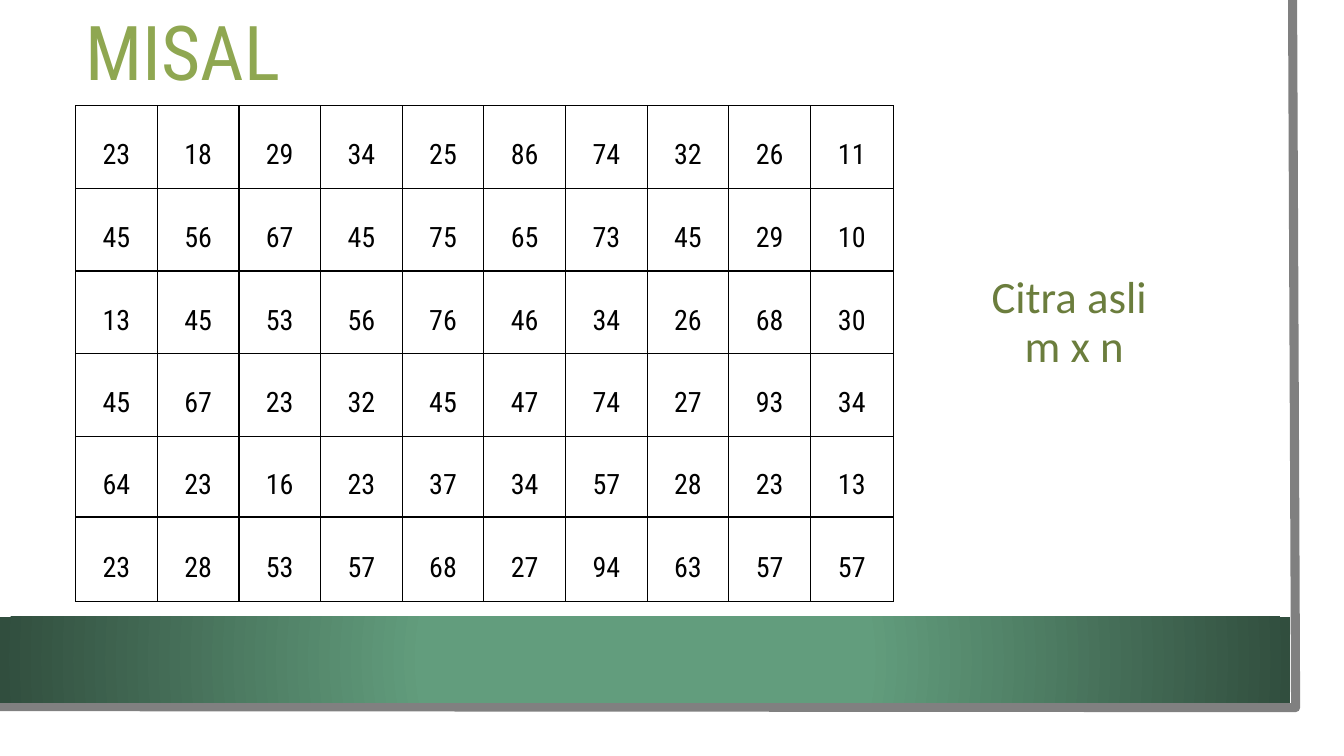
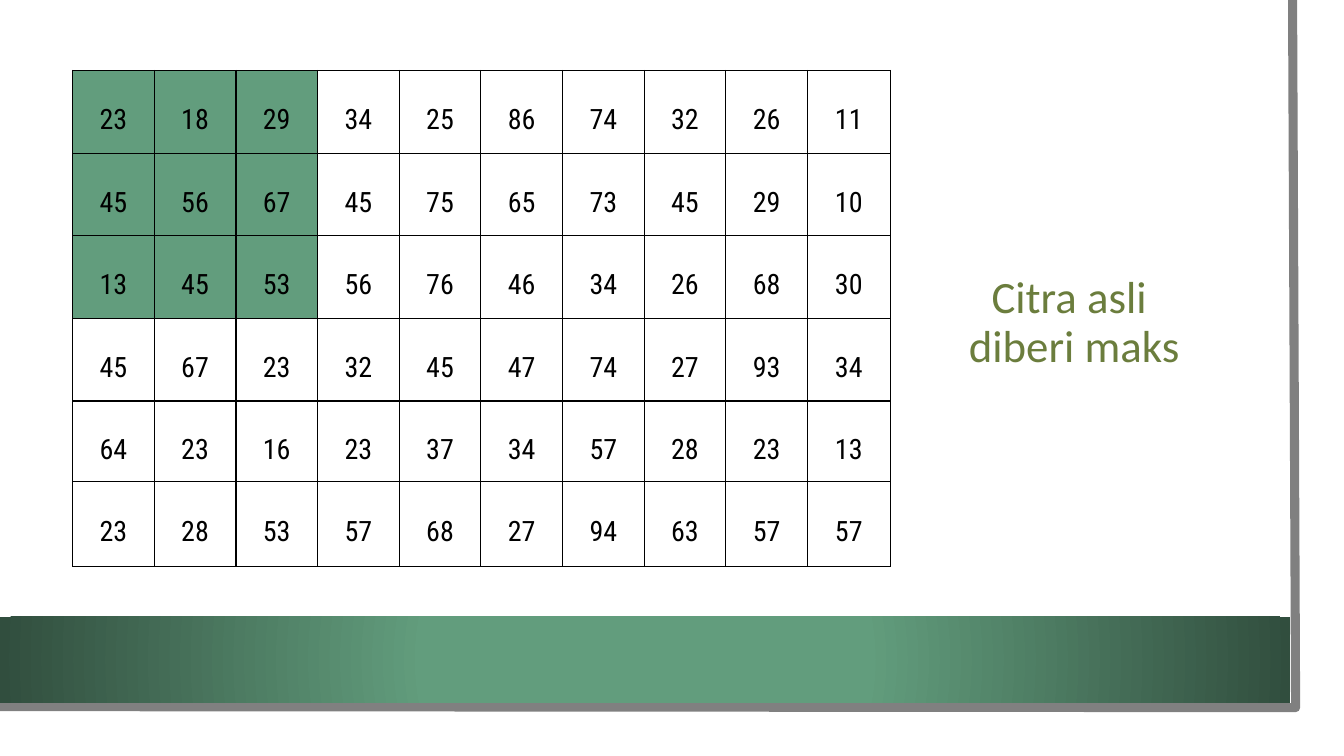
"""Two slides with a grid of grey values and its caption, on a green-banded frame."""
from lxml import etree
from pptx import Presentation
from pptx.dml.color import RGBColor
from pptx.enum import shapes, text
from pptx.oxml import ns
from pptx.util import Inches, Pt

GREEN, DARK, LIME, OLIVE = "629D7D", "314E3E", "8FA751", "6B7D3D"
GREY, WHITE, BLACK = "808080", "FFFFFF", "000000"
HEAD, BODY = "Roboto Condensed", "Calibri"
WIDE, HIGH = [0.81] * 9 + [0.82], [0.82] * 4 + [0.8, 0.84]
GRID = [
    [23, 18, 29, 34, 25, 86, 74, 32, 26, 11],
    [45, 56, 67, 45, 75, 65, 73, 45, 29, 10],
    [13, 45, 53, 56, 76, 46, 34, 26, 68, 30],
    [45, 67, 23, 32, 45, 47, 74, 27, 93, 34],
    [64, 23, 16, 23, 37, 34, 57, 28, 23, 13],
    [23, 28, 53, 57, 68, 27, 94, 63, 57, 57],
]
PAGES = [
    ("MISAL", 0.75, 1.05, 0, "Citra asli \nm x n"),
    (None, 0.72, 0.7, 3, "Citra asli \ndiberi maks"),
]


def rgb(code):
    return RGBColor.from_string(code)


def style(par, size, face, code, align, lead):
    par.font.size, par.font.name = Pt(size), face
    par.font.color.rgb = rgb(code)
    par.alignment, par.line_spacing = align, lead


deck = Presentation()
deck.slide_width, deck.slide_height = Inches(13.33), Inches(7.5)
mid, left = text.PP_ALIGN.CENTER, text.PP_ALIGN.LEFT

for title, x, y, mark, note in PAGES:
    page = deck.slides.add_slide(deck.slide_layouts[5 if title else 6])

    if title:
        head = page.shapes.title
        head.left, head.top = Inches(0.75), Inches(-0.07)
        head.width, head.height = Inches(11.37), Inches(1.26)
        head.text_frame.text = title
        head.text_frame.vertical_anchor = text.MSO_ANCHOR.MIDDLE
        style(head.text_frame.paragraphs[0], 54, HEAD, LIME, left, 0.9)

    frame = page.shapes.add_table(len(HIGH), len(WIDE), Inches(x), Inches(y),
                                  Inches(sum(WIDE)), Inches(sum(HIGH)))
    table = frame.table
    table.first_row = table.horz_banding = False
    for col, size in zip(table.columns, WIDE):
        col.width = Inches(size)
    for row, size in zip(table.rows, HIGH):
        row.height = Inches(size)
    for r, line in enumerate(GRID):
        for c, value in enumerate(line):
            cell = table.cell(r, c)
            cell.text = str(value)
            cell.vertical_anchor = text.MSO_ANCHOR.MIDDLE
            cell.margin_left = cell.margin_right = Inches(0.07)
            cell.margin_top = cell.margin_bottom = 0
            par = cell.text_frame.paragraphs[0]
            style(par, 20, HEAD, BLACK, mid, 1.5)
            par.space_after = Pt(10)
            if r < mark and c < mark:
                cell.fill.solid()
                cell.fill.fore_color.rgb = rgb(GREEN)
            else:
                cell.fill.background()
            props = cell._tc.get_or_add_tcPr()
            for i, side in enumerate("LRTB"):
                edge = etree.Element(ns.qn("a:ln" + side), w=str(Pt(1)))
                paint = etree.SubElement(edge, ns.qn("a:solidFill"))
                etree.SubElement(paint, ns.qn("a:srgbClr"), val=BLACK)
                props.insert(i, edge)

    box = page.shapes.add_textbox(Inches(4.97), Inches(2.58), Inches(11.37), Inches(1.26))
    box.text_frame.word_wrap = True
    box.text_frame.vertical_anchor = text.MSO_ANCHOR.MIDDLE
    box.text_frame.text = note
    for par in box.text_frame.paragraphs:
        style(par, 32, BODY, OLIVE, mid, 0.9)

draw = deck.slides[0].shapes
rect = shapes.MSO_SHAPE.RECTANGLE
panel = draw.add_shape(rect, 0, 0, Inches(13.1), Inches(7.27))
panel.fill.solid()
panel.fill.fore_color.rgb = rgb(WHITE)
panel.line.fill.background()

path = draw.build_freeform(Inches(12.82), 0)
path.add_line_segments([(Inches(12.85), Inches(7.02)), (Inches(-0.03), Inches(7.01))], close=False)
rim = path.convert_to_shape()
rim.fill.background()
rim.line.color.rgb = rgb(GREY)
rim.line.width = Pt(6.5)

band = draw.add_shape(rect, 0, Inches(6.12), Inches(12.8), Inches(0.85))
band.line.fill.background()
band.fill.gradient()
for stop, place, code in zip(band.fill.gradient_stops, (0.34, 1), (GREEN, DARK)):
    stop.position = place
    stop.color.rgb = rgb(code)
grad = band.element.spPr.find(ns.qn("a:gradFill"))
grad.remove(grad.find(ns.qn("a:lin")))
round_ = etree.SubElement(grad, ns.qn("a:path"), path="circle")
etree.SubElement(round_, ns.qn("a:fillToRect"), l="50000", t="50000", r="50000", b="50000")

base = deck.slide_master.shapes.element
for i, part in enumerate((panel, rim, band)):
    part.shadow.inherit = False
    part.element.nvSpPr.cNvPr.set("id", str(20 + i))
    base.insert(2 + i, part.element)

deck.save("out.pptx")
